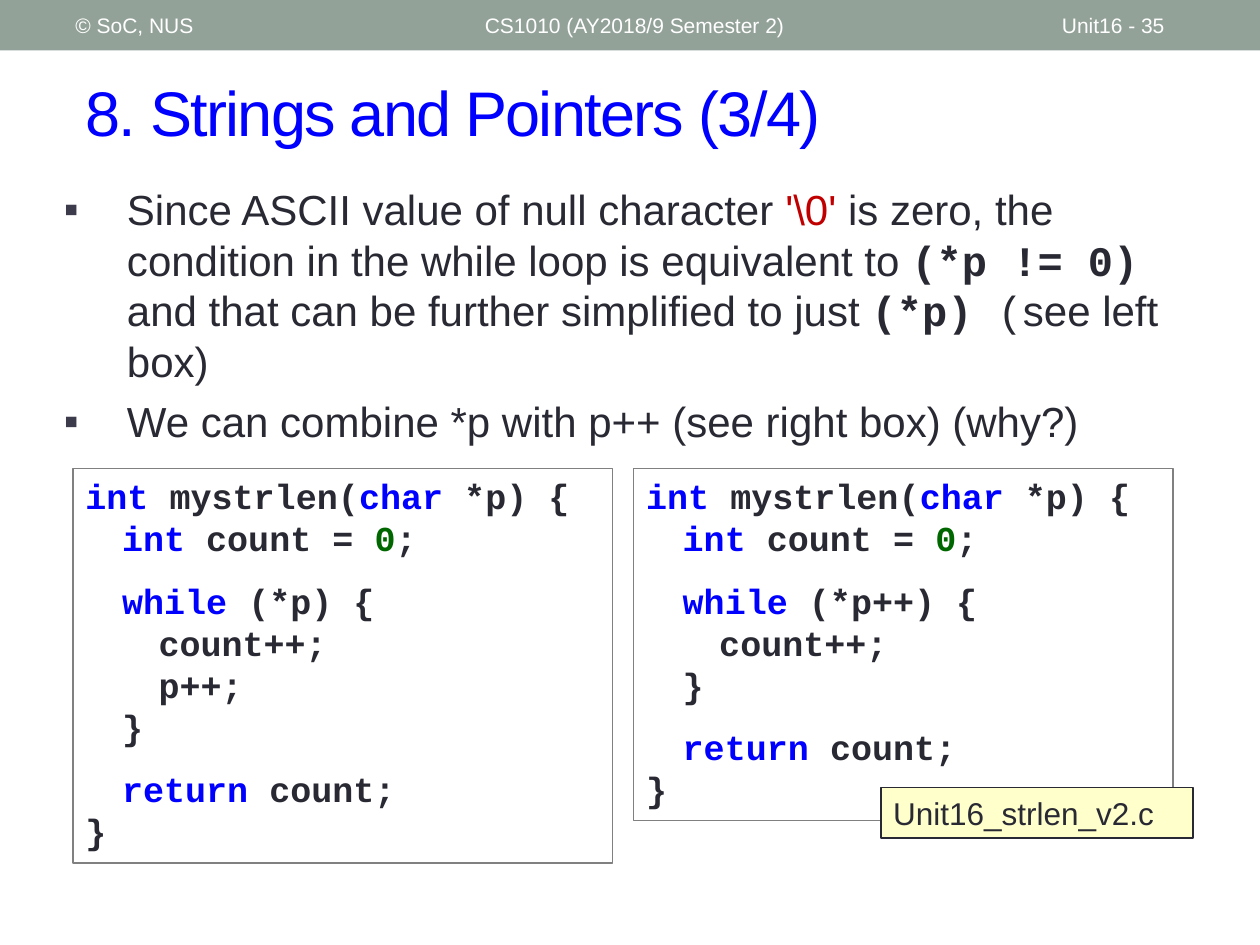
import pptx
import pptx.dml.color
import pptx.enum.shapes
import pptx.enum.text
import pptx.oxml
import pptx.oxml.ns
import pptx.util
from pptx.util import Inches, Pt

THEME = {
    "sans": "Arial", "mono": "Courier New",
    "bar": "93A299", "white": "FFFFFF", "ink": "292934", "bullet": "3B3B4B",
    "blue": "0000FF", "red": "C00000", "green": "006600",
    "frame": "808080", "note": "FFFFCC",
    "header_size": 12, "title_size": 36, "body_size": 24,
    "code_size": 20, "note_size": 18,
}

HEADERS = [  # text, left, width
    ("© SoC, NUS", 0.5, 3.17),
    ("CS1010 (AY2018/9 Semester 2)", 3.75, 4.5),
    ("Unit16 - 35", 8.33, 1.17),
]
TITLE = "8. Strings and Pointers (3/4)"

# Every run is (text, style); STYLES gives font, colour and bold.
STYLES = {
    "plain": ("sans", "ink", False),
    "red": ("sans", "red", False),
    "mono": ("mono", "ink", False),
    "code": ("mono", "ink", True),
    "keyword": ("mono", "blue", True),
    "number": ("mono", "green", True),
    "title": ("sans", "blue", False),
    "header": ("sans", "white", False),
}
BULLETS = [
    [("Since ASCII value of null character ", "plain"), ("'\\0' ", "red"),
     ("is zero, the condition in the while loop is equivalent to ", "plain"),
     ("(*p != 0) ", "code"),
     ("and that can be further simplified to just ", "plain"),
     ("(*p) ", "code"), ("(", "mono"), ("see left box)", "plain")],
    [("We can combine *p with p++ (see right box) (why?)", "plain")],
]

# Code lines are (depth, starts a new block, runs).
OPENING = [
    (0, False, [("int", "keyword"), (" mystrlen(", "code"),
                ("char", "keyword"), (" *p) {", "code")]),
    (1, False, [("int ", "keyword"), ("count = ", "code"),
                ("0", "number"), (";", "code")]),
]
CLOSING = [
    (1, False, [("}", "code")]),
    (1, True, [("return ", "keyword"), ("count;", "code")]),
    (0, False, [("}", "code")]),
]


def while_loop(condition, *statements):
    head = (1, True, [("while ", "keyword"), (f"({condition}) {{", "code")])
    return [head] + [(2, False, [(text, "code")]) for text in statements]


CODE_BOXES = [  # height, lines
    (3.13, OPENING + while_loop("*p", "count++;", "p++;") + CLOSING),
    (2.79, OPENING + while_loop("*p++", "count++;") + CLOSING),
]
CODE_LEFT, CODE_TOP, CODE_WIDTH, CODE_STEP = 0.58, 3.72, 4.28, 4.45
CODE_INDENT = 0.29
BLOCK_GAP = 11.5
FILE_NAME = "Unit16_strlen_v2.c"


def color(name):
    return pptx.dml.color.RGBColor.from_string(THEME[name])


def add_box(slide, left, top, width, height, fill=None, line=None, line_width=1):
    shape = slide.shapes.add_shape(
        pptx.enum.shapes.MSO_SHAPE.RECTANGLE,
        Inches(left), Inches(top), Inches(width), Inches(height))
    shape.shadow.inherit = False
    if fill:
        shape.fill.solid()
        shape.fill.fore_color.rgb = color(fill)
    else:
        shape.fill.background()
    if line:
        shape.line.color.rgb = color(line)
        shape.line.width = Pt(line_width)
    else:
        shape.line.fill.background()
    shape.text_frame.vertical_anchor = pptx.enum.text.MSO_ANCHOR.TOP
    return shape.text_frame


def add_text_area(slide, left, top, width, height, middle=False):
    text_frame = slide.shapes.add_textbox(
        Inches(left), Inches(top), Inches(width), Inches(height)).text_frame
    text_frame.word_wrap = True
    if middle:
        text_frame.vertical_anchor = pptx.enum.text.MSO_ANCHOR.MIDDLE
    return text_frame


def next_paragraph(text_frame, index):
    paragraph = text_frame.add_paragraph() if index else text_frame.paragraphs[0]
    paragraph.alignment = pptx.enum.text.PP_ALIGN.LEFT
    return paragraph


def write_runs(paragraph, runs, size):
    for text, style in runs:
        font_name, color_name, bold = STYLES[style]
        run = paragraph.add_run()
        run.text = text
        run.font.name = THEME[font_name]
        run.font.size = Pt(THEME[size])
        run.font.bold = bold
        run.font.color.rgb = color(color_name)


def set_indent(paragraph, left, first=0):
    properties = paragraph._p.get_or_add_pPr()
    properties.set("marL", str(Inches(left)))
    properties.set("indent", str(Inches(first)))
    return properties


def add_bullet(paragraph):
    properties = set_indent(paragraph, 0.5, -0.5)
    namespace = pptx.oxml.ns.nsdecls("a")
    for xml in (
        f'<a:buClr {namespace}><a:srgbClr val="{THEME["bullet"]}"/></a:buClr>',
        f'<a:buFont {namespace} typeface="{THEME["sans"]}"/>',
        f'<a:buChar {namespace} char="▪"/>',
    ):
        properties.append(pptx.oxml.parse_xml(xml))


def add_header(slide):
    add_box(slide, 0, 0, 10, 0.4, fill="bar")
    for text, left, width in HEADERS:
        text_frame = add_text_area(slide, left, 0.02, width, 0.36, middle=True)
        write_runs(next_paragraph(text_frame, 0), [(text, "header")], "header_size")


def add_title(slide):
    paragraph = next_paragraph(add_text_area(slide, 0.58, 0.42, 9.17, 0.92, middle=True), 0)
    write_runs(paragraph, [(TITLE, "title")], "title_size")
    paragraph.runs[0].font._element.set("spc", "-100")


def add_bullets(slide):
    text_frame = add_text_area(slide, 0.41, 1.41, 9.24, 2.2)
    for index, runs in enumerate(BULLETS):
        paragraph = next_paragraph(text_frame, index)
        add_bullet(paragraph)
        if index:
            paragraph.space_before = Pt(6)
        write_runs(paragraph, runs, "body_size")


def add_code_boxes(slide):
    for column, (height, lines) in enumerate(CODE_BOXES):
        left = CODE_LEFT + column * CODE_STEP
        text_frame = add_box(slide, left, CODE_TOP, CODE_WIDTH, height,
                             line="frame", line_width=0.75)
        for index, (depth, new_block, runs) in enumerate(lines):
            paragraph = next_paragraph(text_frame, index)
            set_indent(paragraph, depth * CODE_INDENT)
            if new_block:
                paragraph.space_before = Pt(BLOCK_GAP)
            write_runs(paragraph, runs, "code_size")


def add_file_note(slide):
    text_frame = add_box(slide, 6.99, 6.25, 2.48, 0.4, fill="note", line="ink")
    write_runs(next_paragraph(text_frame, 0), [(FILE_NAME, "plain")], "note_size")


def main():
    presentation = pptx.Presentation()
    presentation.slide_width = Inches(10)
    presentation.slide_height = Inches(7.5)
    slide = presentation.slides.add_slide(presentation.slide_layouts[6])
    add_header(slide)
    add_title(slide)
    add_bullets(slide)
    add_code_boxes(slide)
    add_file_note(slide)
    presentation.save("out.pptx")


if __name__ == "__main__":
    main()
